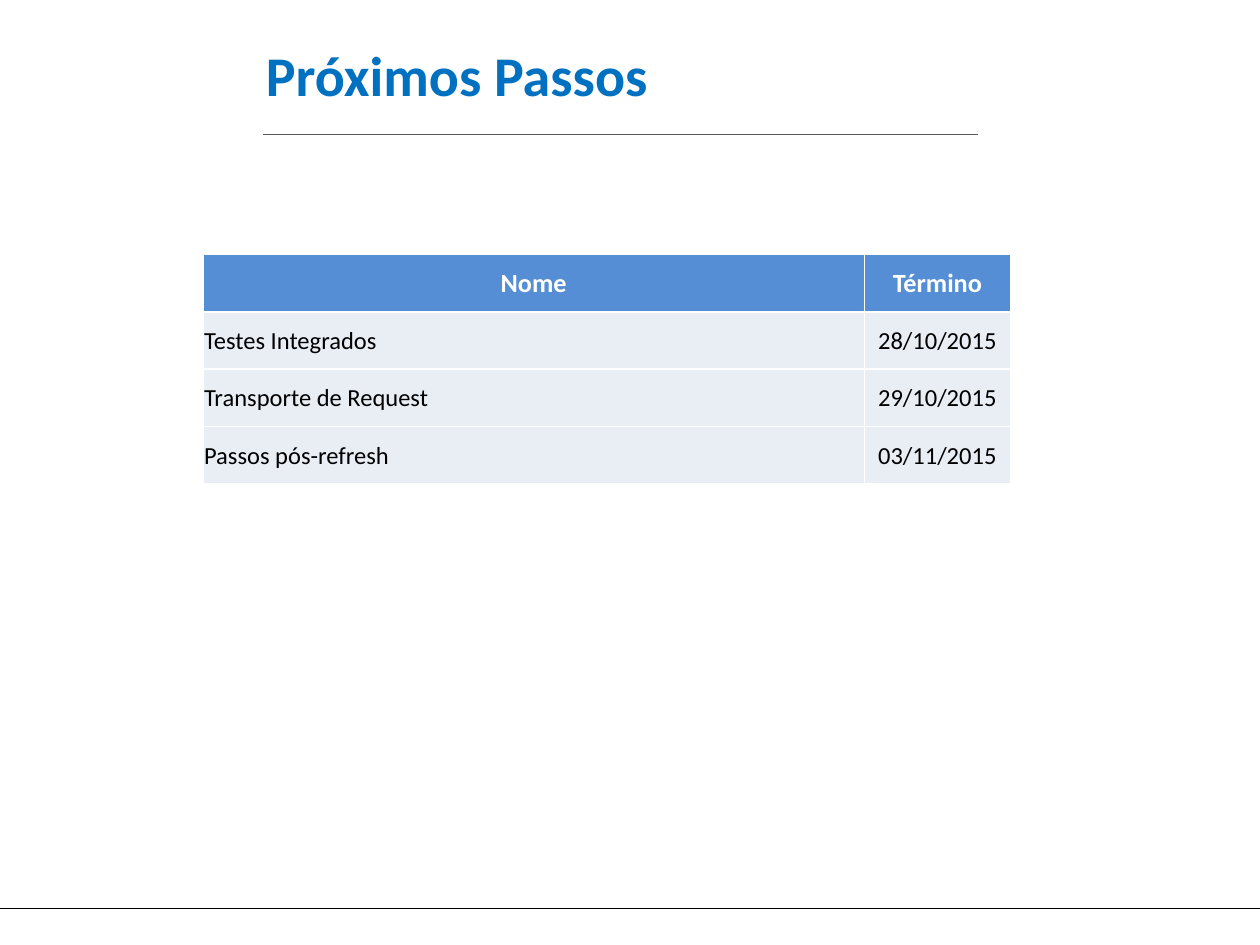
from lxml import etree
from pptx import Presentation
from pptx.dml.color import RGBColor
from pptx.enum.shapes import MSO_CONNECTOR
from pptx.enum.text import MSO_ANCHOR, PP_ALIGN
from pptx.oxml.ns import qn
from pptx.util import Inches, Pt

STRAIGHT = MSO_CONNECTOR.STRAIGHT
MIDDLE = MSO_ANCHOR.MIDDLE
LEFT, CENTER = PP_ALIGN.LEFT, PP_ALIGN.CENTER
TITLE_ONLY = 5
COLUMNS, ROWS = 100, 75
STEPS = [
    ("Nome", "Término"),
    ("Testes Integrados", "28/10/2015"),
    ("Transporte de Request", "29/10/2015"),
    ("Passos pós-refresh", "03/11/2015"),
]


def color(hex_value):
    return RGBColor.from_string(hex_value)


class SlideBuilder:
    """Draws styled elements on one slide, placed on a 100 by 75 grid."""

    title_format = {"size": Pt(32), "bold": True, "name": "Calibri"}
    header_format = {"size": Pt(15), "bold": True, "name": "Calibri"}
    body_format = {"size": Pt(14), "bold": False, "name": "Calibri"}
    cell_format = {
        "vertical_anchor": MIDDLE,
        "margin_left": Inches(0.01),
        "margin_right": Inches(0.01),
        "margin_top": Inches(0.01),
        "margin_bottom": 0,
    }

    def __init__(self, deck):
        self.deck = deck
        self.slide = deck.slides.add_slide(deck.slide_layouts[TITLE_ONLY])

    def x(self, columns):
        return round(self.deck.slide_width * columns / COLUMNS)

    def y(self, rows):
        return round(self.deck.slide_height * rows / ROWS)

    def apply(self, target, values):
        for attribute, value in values.items():
            setattr(target, attribute, value)

    def add_text(self, frame, text, font_format, font_color, align):
        paragraph = frame.paragraphs[0]
        paragraph.alignment = align
        run = paragraph.add_run()
        run.text = text
        self.apply(run.font, font_format)
        run.font.color.rgb = color(font_color)

    def title(self, text, left, top, width, height):
        heading = self.slide.shapes.title
        self.apply(heading, {
            "left": self.x(left), "top": self.y(top),
            "width": self.x(width), "height": self.y(height),
        })
        heading.text_frame.vertical_anchor = MIDDLE
        self.add_text(heading.text_frame, text, self.title_format, "0070C0", LEFT)

    def rule(self, start, end, row, line_color, weight):
        line = self.slide.shapes.add_connector(
            STRAIGHT, self.x(start), self.y(row), self.x(end), self.y(row))
        line.line.color.rgb = color(line_color)
        line.line.width = Pt(weight)
        etree.SubElement(line._element.spPr, qn("a:effectLst"))

    def border(self, cell, line_color, weight):
        properties = cell._tc.get_or_add_tcPr()
        for position, side in enumerate(("a:lnL", "a:lnR", "a:lnT", "a:lnB")):
            edge = etree.Element(qn(side), w=str(Pt(weight)))
            fill = etree.SubElement(edge, qn("a:solidFill"))
            etree.SubElement(fill, qn("a:srgbClr"), val=line_color)
            properties.insert(position, edge)

    def table(self, records, left, top, widths, row_height):
        table = self.slide.shapes.add_table(
            len(records), len(widths), self.x(left), self.y(top),
            self.x(sum(widths)), self.y(row_height * len(records))).table
        table.horz_banding = False
        for column, width in zip(table.columns, widths):
            column.width = self.x(width)
        for row, record in enumerate(records):
            table.rows[row].height = self.y(row_height)
            header = row == 0
            font_format = self.header_format if header else self.body_format
            font_color, fill = ("FFFFFF", "558ED5") if header else ("000000", "E9EDF4")
            for column, text in enumerate(record):
                cell = table.cell(row, column)
                self.apply(cell, self.cell_format)
                cell.fill.solid()
                cell.fill.fore_color.rgb = color(fill)
                self.border(cell, "FFFFFF", 1)
                align = CENTER if header or column else LEFT
                self.add_text(cell.text_frame, text, font_format, font_color, align)


def main():
    deck = Presentation()
    deck.slide_width, deck.slide_height = Inches(10), Inches(7.5)
    builder = SlideBuilder(deck)
    builder.rule(0, COLUMNS, 72.1, "000000", 0.75)
    builder.rule(20.9, 77.6, 10.7, "595959", 0.5)
    builder.title("Próximos Passos", 20.1, 1.5, 61.7, 8.7)
    builder.table(STEPS, 16.1, 20.2, (52.5, 11.6), 4.55)
    deck.save("out.pptx")


if __name__ == "__main__":
    main()
